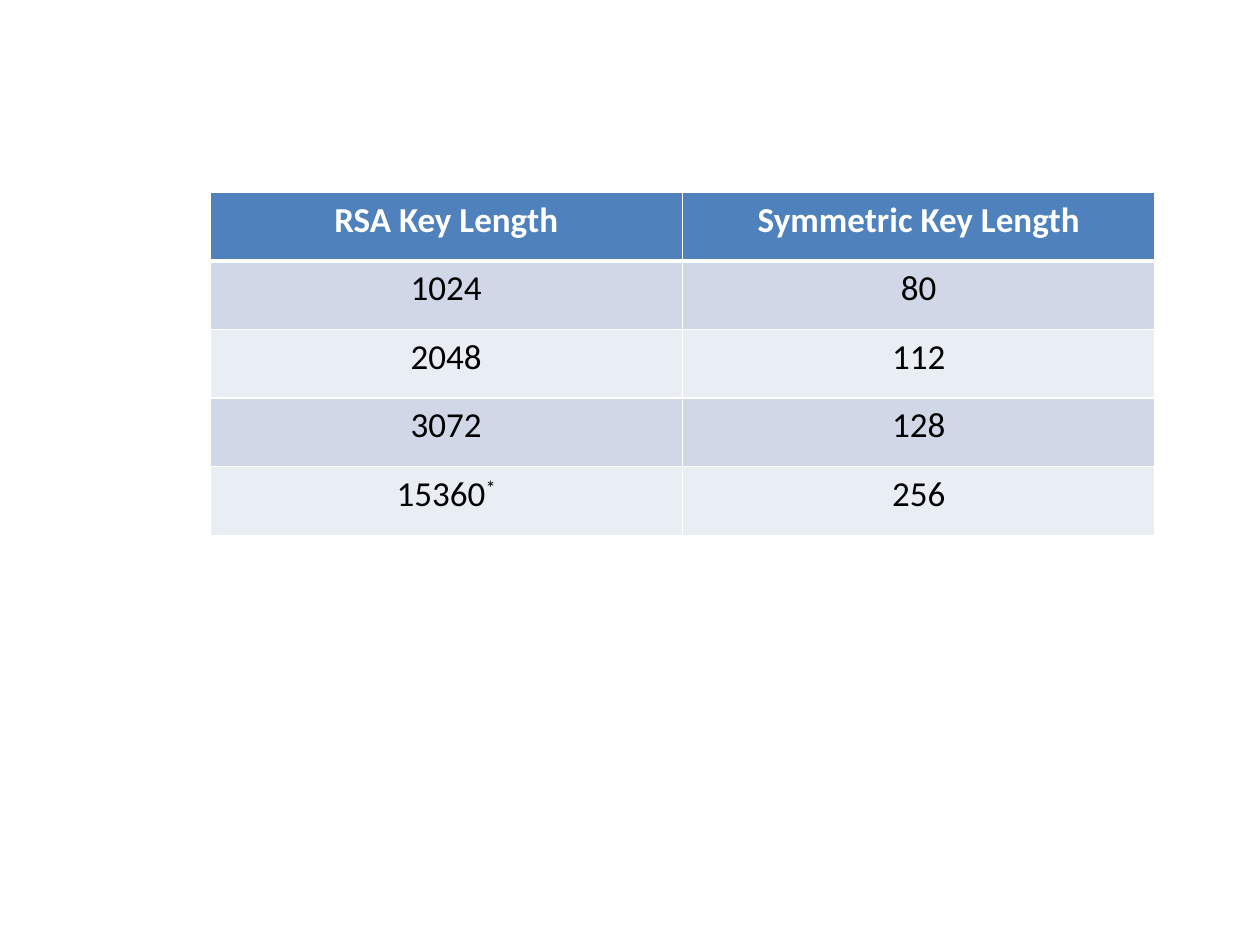
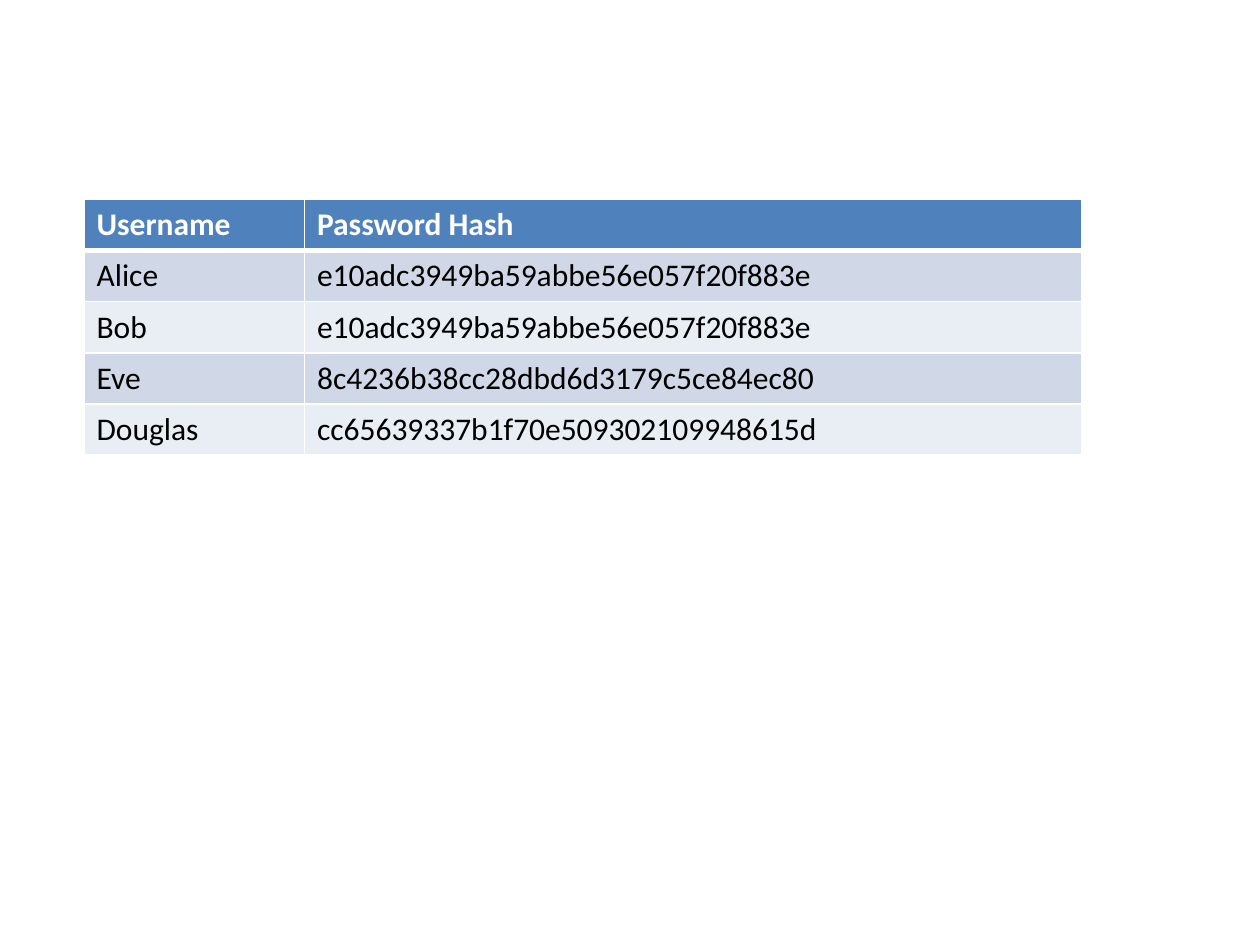
import pptx
import pptx.util
import pptx.dml.color
import pptx.enum.text
import lxml.etree

Pt = pptx.util.Pt
ALIGN = pptx.enum.text.PP_ALIGN
NS = "http://schemas.openxmlformats.org/drawingml/2006/main"
FONT = "Calibri"
WHITE, BLACK, HEADER = "FFFFFF", "000000", "4F81BD"
BANDS = ["D0D8E8", "E9EDF4"]


def color(value):
    return pptx.dml.color.RGBColor.from_string(value)


def add_border(cell, side, width):
    tcPr = cell._tc.get_or_add_tcPr()
    ln = lxml.etree.SubElement(tcPr, f"{{{NS}}}ln{side}", w=str(Pt(width)))
    fill = lxml.etree.SubElement(ln, f"{{{NS}}}solidFill")
    lxml.etree.SubElement(fill, f"{{{NS}}}srgbClr", val=WHITE)


key_lengths = [
    ("RSA Key Length", "Symmetric Key Length"),
    ("1024", "80"),
    ("2048", "112"),
    ("3072", "128"),
    ("15360", "256"),
]
password_hashes = [
    ("Username", "Password Hash"),
    ("Alice", "e10adc3949ba59abbe56e057f20f883e"),
    ("Bob", "e10adc3949ba59abbe56e057f20f883e"),
    ("Eve", "8c4236b38cc28dbd6d3179c5ce84ec80"),
    ("Douglas", "cc65639337b1f70e509302109948615d"),
]
slides = [
    (key_lengths, 120, 110, [270, 270], 39.2, 20, ALIGN.CENTER),
    (password_hashes, 48, 114, [126, 444], 29.2, 18, ALIGN.LEFT),
]

prs = pptx.Presentation()
prs.slide_width, prs.slide_height = Pt(720), Pt(540)
tables = []

for rows, left, top, widths, height, size, align in slides:
    s = prs.slides.add_slide(prs.slide_layouts[6])
    table = s.shapes.add_table(len(rows), len(widths), Pt(left), Pt(top),
                               Pt(sum(widths)), Pt(height * len(rows))).table
    tables.append(table)
    for column, width in zip(table.columns, widths):
        column.width = Pt(width)
    for i, row in enumerate(rows):
        table.rows[i].height = Pt(height)
        for j, text in enumerate(row):
            cell = table.cell(i, j)
            for side in "LRTB":
                under_header = (i, side) in [(0, "B"), (1, "T")]
                add_border(cell, side, 3 if under_header else 1)
            cell.fill.solid()
            cell.fill.fore_color.rgb = color(HEADER if i == 0 else BANDS[(i - 1) % 2])
            p = cell.text_frame.paragraphs[0]
            p.text = text
            p.alignment = align
            font = p.runs[0].font
            font.name, font.size, font.bold = FONT, Pt(size), i == 0
            font.color.rgb = color(WHITE if i == 0 else BLACK)

p = tables[0].cell(4, 0).text_frame.paragraphs[0]
r = p.add_run()
r.text = "*"
r.font.name, r.font.size, r.font.bold = FONT, Pt(20), False
r.font.color.rgb = color(BLACK)
r._r.get_or_add_rPr().set("baseline", "30000")

prs.save("out.pptx")
